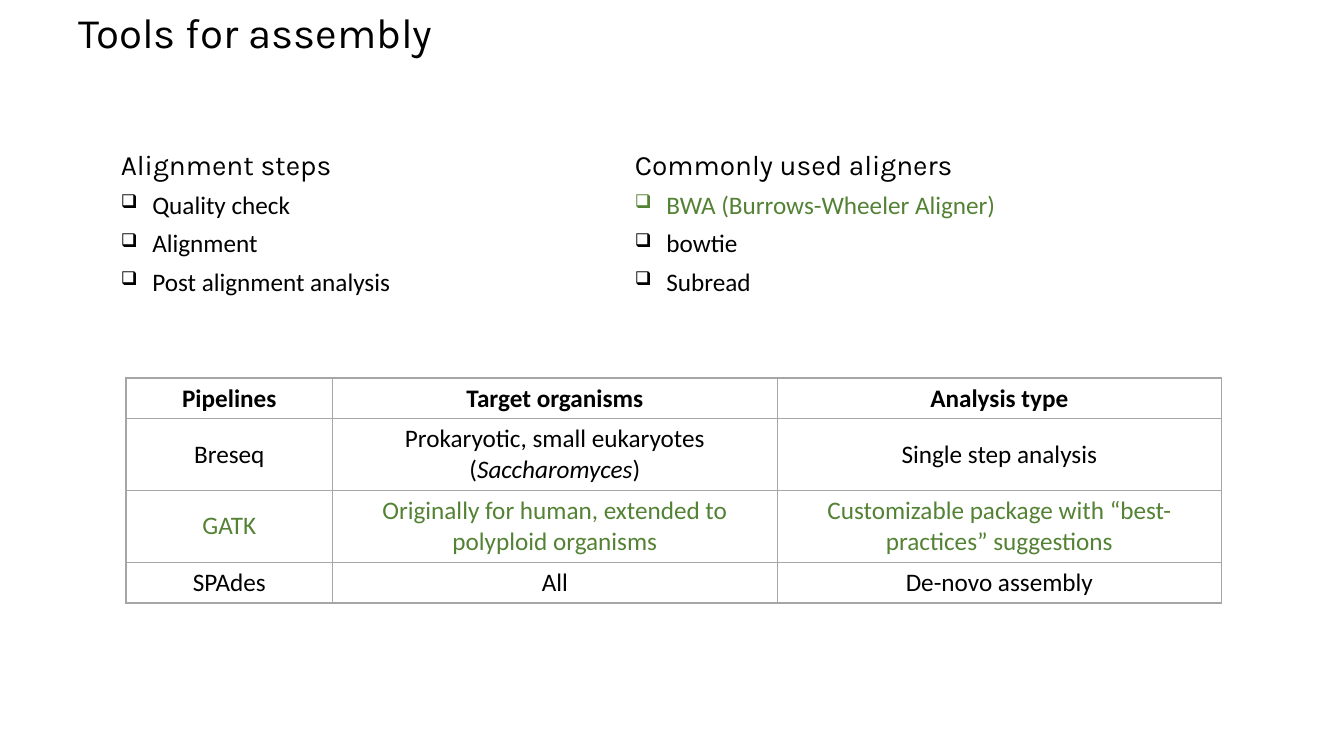
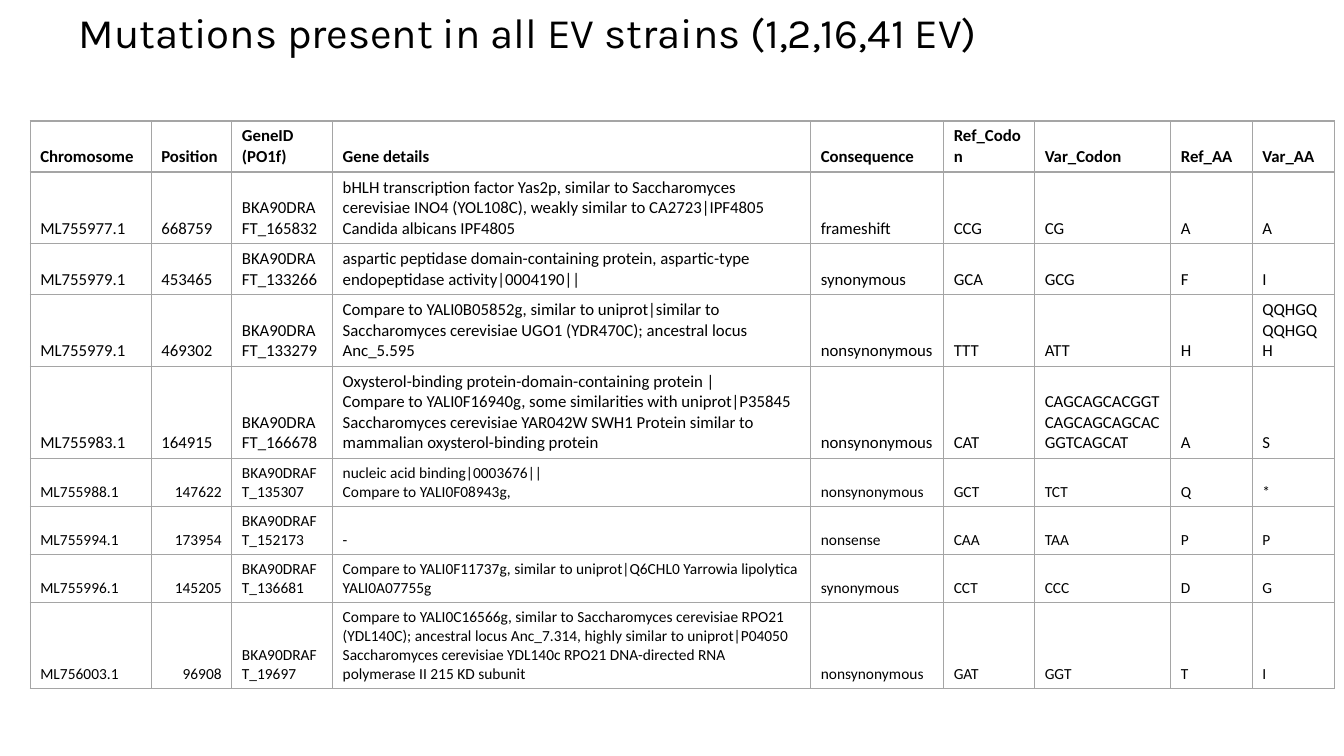
from lxml import etree
from pptx import Presentation
from pptx.dml.color import RGBColor
from pptx.enum.text import MSO_ANCHOR, MSO_AUTO_SIZE, PP_ALIGN
from pptx.oxml.ns import qn
from pptx.util import Pt

LEFT, MID, RIGHT = PP_ALIGN.LEFT, PP_ALIGN.CENTER, PP_ALIGN.RIGHT
TOP, CORE, BASE = MSO_ANCHOR.TOP, MSO_ANCHOR.MIDDLE, MSO_ANCHOR.BOTTOM
FIXED, GROW = MSO_AUTO_SIZE.NONE, MSO_AUTO_SIZE.SHAPE_TO_FIT_TEXT
HEAD, BODY = "Karla", "Calibri"
COLORS = {"ink": "000000", "green": "548235", "rule": "A6A6A6", "grid": "A5A5A5"}
ONLY = 5

STEPS = ["Quality check", "Alignment", "Post alignment analysis"]
TOOLS = ["BWA (Burrows-Wheeler Aligner)", "bowtie", "Subread"]
PIPES = [
    ("Pipelines", "Target organisms", "Analysis type"),
    ("Breseq", ("Prokaryotic, small eukaryotes (", "Saccharomyces", ")"), "Single step analysis"),
    ("GATK", "Originally for human, extended to polyploid organisms",
     "Customizable package with “best-practices” suggestions"),
    ("SPAdes", "All", "De-novo assembly"),
]
GENES = [
    ("Chromosome", "Position", "GeneID (PO1f)", "Gene details", "Consequence",
     "Ref_Codon", "Var_Codon", "Ref_AA", "Var_AA"),
    ("ML755977.1", "668759", "BKA90DRAFT_165832",
     "bHLH transcription factor Yas2p, similar to Saccharomyces cerevisiae INO4 (YOL108C), "
     "weakly similar to CA2723|IPF4805 Candida albicans IPF4805",
     "frameshift", "CCG", "CG", "A", "A"),
    ("ML755979.1", "453465", "BKA90DRAFT_133266",
     "aspartic peptidase domain-containing protein, aspartic-type "
     "endopeptidase activity|0004190||",
     "synonymous", "GCA", "GCG", "F", "I"),
    ("ML755979.1", "469302", "BKA90DRAFT_133279",
     "Compare to YALI0B05852g, similar to uniprot|similar to "
     "Saccharomyces cerevisiae UGO1 (YDR470C); ancestral locus Anc_5.595",
     "nonsynonymous", "TTT", "ATT", "H", "QQHGQQQHGQH"),
    ("ML755983.1", "164915", "BKA90DRAFT_166678",
     "Oxysterol-binding protein-domain-containing protein |\n"
     "Compare to YALI0F16940g, some similarities with uniprot|P35845 Saccharomyces "
     "cerevisiae YAR042W SWH1 Protein similar to mammalian oxysterol-binding protein",
     "nonsynonymous", "CAT", "CAGCAGCACGGTCAGCAGCAGCACGGTCAGCAT", "A", "S"),
    ("ML755988.1", "147622", "BKA90DRAFT_135307",
     "nucleic acid binding|0003676||\nCompare to YALI0F08943g,",
     "nonsynonymous", "GCT", "TCT", "Q", "*"),
    ("ML755994.1", "173954", "BKA90DRAFT_152173", "-", "nonsense", "CAA", "TAA", "P", "P"),
    ("ML755996.1", "145205", "BKA90DRAFT_136681",
     "Compare to YALI0F11737g, similar to uniprot|Q6CHL0 Yarrowia lipolytica YALI0A07755g",
     "synonymous", "CCT", "CCC", "D", "G"),
    ("ML756003.1", "96908", "BKA90DRAFT_19697",
     "Compare to YALI0C16566g, similar to Saccharomyces cerevisiae RPO21 (YDL140C); "
     "ancestral locus Anc_7.314, highly similar to uniprot|P04050 Saccharomyces cerevisiae "
     "YDL140c RPO21 DNA-directed RNA polymerase II 215 KD subunit",
     "nonsynonymous", "GAT", "GGT", "T", "I"),
]


class Deck:
    def __init__(self):
        self.show = Presentation()
        self.show.slide_width, self.show.slide_height = Pt(960), Pt(540)

    def page(self, title):
        self.slide = self.show.slides.add_slide(self.show.slide_layouts[ONLY])
        box = self.slide.shapes.title
        box.left, box.top, box.width, box.height = Pt(49), Pt(5), Pt(845), Pt(74)
        frame = box.text_frame
        frame.word_wrap, frame.auto_size, frame.vertical_anchor = True, FIXED, TOP
        para = frame.paragraphs[0]
        para.line_spacing = 0.9
        self.put(para, title, 30, face=HEAD)

    def put(self, para, text, size, color="ink", face=BODY, bold=False, align=LEFT):
        para.alignment = align
        font = para.font
        font.name, font.size, font.bold = face, Pt(size), bold
        font.color.rgb = RGBColor.from_string(COLORS[color])
        parts = [text] if isinstance(text, str) else text
        for i, part in enumerate(parts):
            run = para.add_run()
            run.text = part
            if i % 2:
                run.font.italic = True

    def bullet(self, para):
        props = para._p.get_or_add_pPr()
        props.set("marL", str(Pt(22.5)))
        props.set("indent", str(-Pt(22.5)))
        etree.SubElement(props, qn("a:buSzPct"), val="75000")
        etree.SubElement(props, qn("a:buChar"), char="❑")

    def bullets(self, x, head, items, accent=None):
        box = self.slide.shapes.add_textbox(Pt(x), Pt(101.5), Pt(289.5), Pt(115))
        frame = box.text_frame
        frame.word_wrap, frame.auto_size = True, GROW
        self.put(frame.paragraphs[0], head, 20, face=HEAD)
        for item in items:
            para = frame.add_paragraph()
            self.bullet(para)
            para.space_before = Pt(6)
            self.put(para, item, 18, "green" if item == accent else "ink")

    def border(self, cell, color, foot):
        props = cell._tc.get_or_add_tcPr()
        for i, side in enumerate("LRTB"):
            width = foot if side == "B" else 1
            line = etree.Element(qn(f"a:ln{side}"), w=str(Pt(width)))
            fill = etree.SubElement(line, qn("a:solidFill"))
            etree.SubElement(fill, qn("a:srgbClr"), val=COLORS[color])
            props.insert(i, line)

    def table(self, rows, x, y, widths, heights, look, anchor, pad, color, foot=1):
        shape = self.slide.shapes.add_table(
            len(rows), len(widths), Pt(x), Pt(y), Pt(sum(widths)), Pt(sum(heights)))
        grid = shape.table
        grid.first_row = grid.horz_banding = False
        for col, width in zip(grid.columns, widths):
            col.width = Pt(width)
        for r, (row, height) in enumerate(zip(rows, heights)):
            grid.rows[r].height = Pt(height)
            for c, text in enumerate(row):
                cell = grid.cell(r, c)
                cell.fill.background()
                self.border(cell, color, 1 if r else foot)
                cell.vertical_anchor = anchor
                cell.margin_left = cell.margin_right = Pt(pad)
                cell.margin_top = cell.margin_bottom = Pt(3.6)
                lines = text.split("\n") if isinstance(text, str) else [text]
                for i, line in enumerate(lines):
                    frame = cell.text_frame
                    para = frame.add_paragraph() if i else frame.paragraphs[0]
                    self.put(para, line, bold=r == 0, **look(r, c))


def pipe_look(row, col):
    return {"size": 18, "align": MID, "color": "green" if row == 2 else "ink"}


def gene_look(row, col):
    small = row > 4
    return {"size": 11 if small else 12, "align": RIGHT if small and col == 1 else LEFT}


def main():
    deck = Deck()
    deck.page("Tools for assembly")
    deck.table(PIPES, 90, 270, [147.6, 317.5, 317.5], [29, 51, 51, 29],
               pipe_look, CORE, 3.6, "rule")
    deck.bullets(79.2, "Alignment steps", STEPS)
    deck.bullets(446.4, "Commonly used aligners", TOOLS, accent=TOOLS[0])

    deck.page("Mutations present in all EV strains (1,2,16,41 EV)")
    deck.table(GENES, 21.6, 86.4, [86.4, 57.6, 72, 341.5, 95, 65, 97.2, 58.2, 59],
               [36, 51, 36, 51, 65, 34, 34, 34, 61],
               gene_look, BASE, 7.2, "grid", foot=2)
    deck.show.save("out.pptx")


if __name__ == "__main__":
    main()
